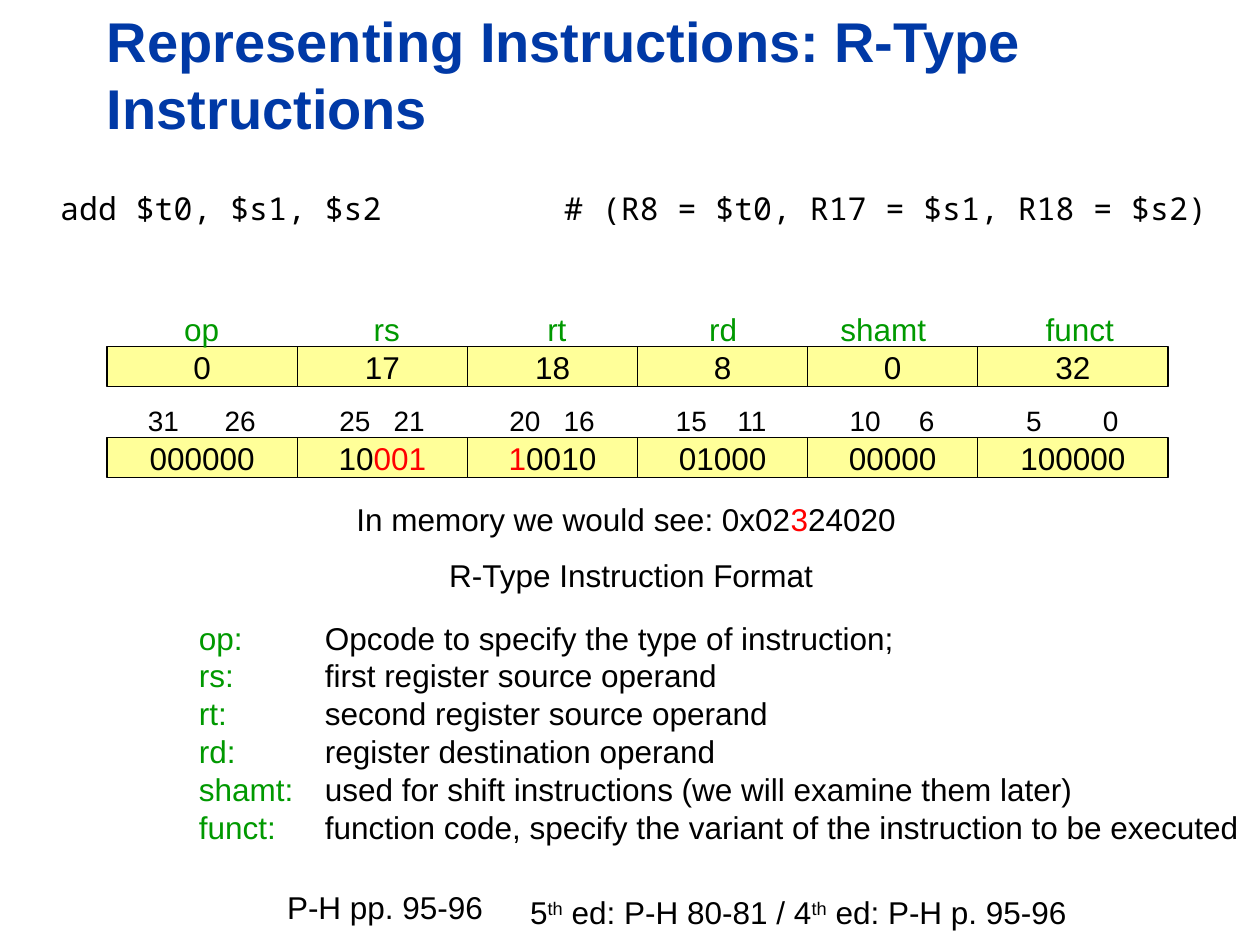
from lxml import etree
from pptx import Presentation
from pptx.dml.color import RGBColor
from pptx.enum.shapes import MSO_SHAPE
from pptx.enum.text import MSO_ANCHOR, PP_ALIGN
from pptx.oxml.ns import qn
from pptx.util import Inches, Pt

RECT = MSO_SHAPE.RECTANGLE
TOP, MIDDLE, BOTTOM = MSO_ANCHOR.TOP, MSO_ANCHOR.MIDDLE, MSO_ANCHOR.BOTTOM
LEFT, CENTER = PP_ALIGN.LEFT, PP_ALIGN.CENTER
BLACK, GREEN, RED, BLUE, YELLOW = "000000", "009900", "FF0000", "0039A6", "FFFF99"

TITLE = "Representing Instructions: R-Type Instructions"
CODE = "add $t0, $s1, $s2\t# (R8 = $t0, R17 = $s1, R18 = $s2)"
# name, label centre, column width, decimal value, binary runs, high bit, low bit, bit label width
FIELDS = [
    ("op", 1.60, 1.51, "0", [("000000", BLACK)], "31", "26", 0.86),
    ("rs", 3.07, 1.35, "17", [("10", BLACK), ("001", RED)], "25", "21", 0.68),
    ("rt", 4.42, 1.35, "18", [("1", RED), ("0010", BLACK)], "20", "16", 0.68),
    ("rd", 5.74, 1.35, "8", [("01000", BLACK)], "15", "11", 0.74),
    ("shamt", 7.01, 1.35, "0", [("00000", BLACK)], "10", "6", 0.68),
    ("funct", 8.57, 1.51, "32", [("100000", BLACK)], "5", "0", 0.74),
]
MEANINGS = [
    ("op:", "Opcode to specify the type of instruction;"),
    ("rs:", "first register source operand"),
    ("rt:", "second register source operand"),
    ("rd:", "register destination operand"),
    ("shamt:", "used for shift instructions (we will examine them later)"),
    ("funct:", "function code, specify the variant of the instruction to be executed"),
]
MEMORY = [("In memory we would see: 0x02", BLACK), ("3", RED), ("24020", BLACK)]
EDITIONS = [("5", 0), ("th", 30), (" ed: P-H 80-81 / 4", 0), ("th", 30),
            (" ed: P-H p. 95-96", 0)]
TABLE_LEFT, CELL_H, DIGIT_W = 0.85, 0.32, 0.12


def color(hex_value):
    return RGBColor.from_string(hex_value)


def write(sp, paragraphs, size=18, font="Arial", bold=False, align=LEFT,
          anchor=MIDDLE, wrap=False, tab=None):
    """Fill a shape; each paragraph is a list of (text, colour[, superscript %])."""
    tf = sp.text_frame
    tf.word_wrap, tf.vertical_anchor = wrap, anchor
    for i, runs in enumerate(paragraphs):
        p = tf.add_paragraph() if i else tf.paragraphs[0]
        p.alignment = align
        if tab is not None:
            tabs = etree.SubElement(p._p.get_or_add_pPr(), qn("a:tabLst"))
            etree.SubElement(tabs, qn("a:tab"), pos=str(Inches(tab)), algn="l")
        for text, hex_value, *raised in runs:
            r = p.add_run()
            r.text = text
            for name, value in dict(name=font, size=Pt(size), bold=bold).items():
                setattr(r.font, name, value)
            r.font.color.rgb = color(hex_value)
            if raised and raised[0]:
                r._r.get_or_add_rPr().set("baseline", str(raised[0] * 1000))


def text_box(s, x, y, w, h, paragraphs, **fmt):
    sp = s.shapes.add_textbox(Inches(x), Inches(y), Inches(w), Inches(h))
    write(sp, paragraphs, **fmt)
    return sp


def cell(s, x, y, w, runs):
    sp = s.shapes.add_shape(RECT, Inches(x), Inches(y), Inches(w), Inches(CELL_H))
    sp.shadow.inherit = False
    sp.fill.solid()
    sp.fill.fore_color.rgb = color(YELLOW)
    sp.line.color.rgb = color(BLACK)
    sp.line.width = Pt(0.75)
    write(sp, [runs], align=CENTER)


def main():
    prs = Presentation()
    prs.slide_width, prs.slide_height = Inches(10), Inches(7.5)
    s = prs.slides.add_slide(prs.slide_layouts[6])

    text_box(s, 0.75, 0, 9.03, 1.17, [[(TITLE, BLUE)]],
             size=32, bold=True, anchor=BOTTOM, wrap=True)
    text_box(s, 0.38, 1.47, 9.37, 0.36, [[(CODE, BLACK)]], font="Noto Sans Mono", tab=4)

    x = TABLE_LEFT
    for name, label_x, w, value, binary, high, low, bits_w in FIELDS:
        cell(s, x, 2.75, w, [(value, BLACK)])
        cell(s, x, 3.47, w, binary)
        text_box(s, label_x - 0.45, 2.41, 0.9, 0.4, [[(name, GREEN)]], align=CENTER)
        bits = text_box(s, x + (w - bits_w) / 2 - 0.1, 3.15, bits_w + 0.2, 0.37,
                        [[(f"{high}\t{low}", BLACK)]], size=16, wrap=True,
                        tab=bits_w - DIGIT_W * len(low) - 0.01)
        bits.text_frame.margin_right = 0
        x += w

    text_box(s, 2.73, 3.92, 4.55, 0.4, [MEMORY])
    text_box(s, 3.41, 4.36, 3.2, 0.4, [[("R-Type Instruction Format", BLACK)]], align=CENTER)
    text_box(s, 1.48, 4.86, 8.52, 1.9,
             [[(term + "\t", GREEN), (meaning, BLACK)] for term, meaning in MEANINGS], tab=1)
    text_box(s, 2.18, 7, 1.9, 0.4, [[("P-H pp. 95-96", BLACK)]], anchor=TOP)
    text_box(s, 4.11, 7.04, 4.6, 0.4,
             [[(text, BLACK, raised) for text, raised in EDITIONS]], anchor=TOP)

    prs.save("out.pptx")


if __name__ == "__main__":
    main()
